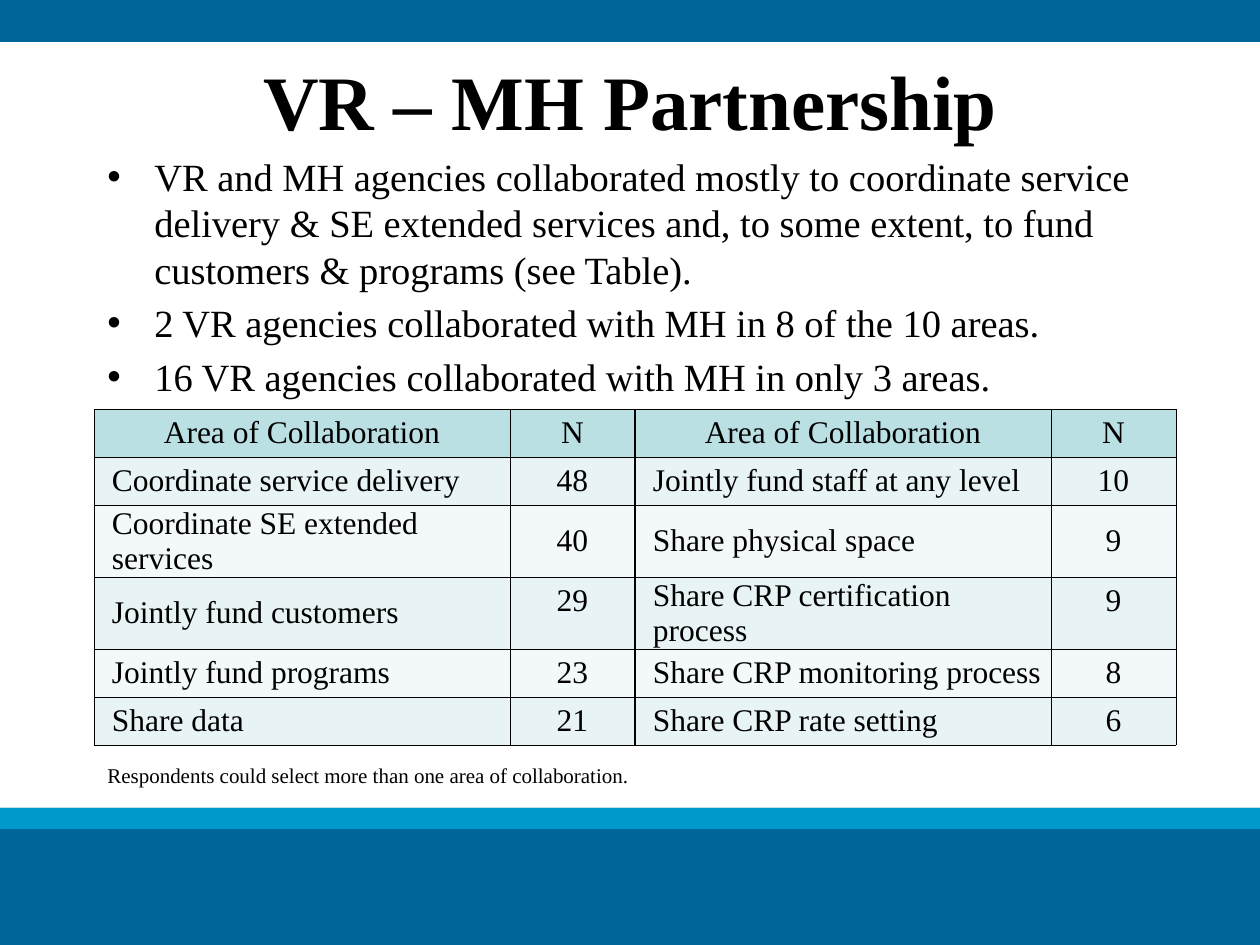
from lxml import etree
from pptx import Presentation
from pptx.dml.color import RGBColor
from pptx.enum.shapes import MSO_SHAPE
from pptx.enum.text import MSO_ANCHOR, PP_ALIGN
from pptx.oxml.ns import qn
from pptx.util import Emu, Pt

RECT = MSO_SHAPE.RECTANGLE
TOP, MIDDLE = MSO_ANCHOR.TOP, MSO_ANCHOR.MIDDLE
LEFT, CENTER = PP_ALIGN.LEFT, PP_ALIGN.CENTER

BLUE, SKY, BLACK = "006699", "0099CC", "000000"
HEAD, TINT, PALE = "BBE0E3", "E7F3F4", "F3F9FA"
THIN, THICK = 0.25, 1.5

POINTS = [
    "VR and MH agencies collaborated mostly to coordinate service delivery "
    "& SE extended services and, to some extent, to fund customers & "
    "programs (see Table).",
    "2 VR agencies collaborated with MH in 8 of the 10 areas.",
    "16 VR agencies collaborated with MH in only 3 areas.",
]
AREAS = [
    ("Area of Collaboration", "N", "Area of Collaboration", "N"),
    ("Coordinate service delivery", "48",
     "Jointly fund staff at any level", "10"),
    ("Coordinate SE extended\nservices", "40", "Share physical space", "9"),
    ("Jointly fund customers", "29", "Share CRP certification\nprocess", "9"),
    ("Jointly fund programs", "23", "Share CRP monitoring process", "8"),
    ("Share data", "21", "Share CRP rate setting", "6"),
]
COLS = [416, 125, 416, 125]
ROWS = [48, 48, 72, 71, 48, 48]
HIGH = {(3, 1), (3, 3), (4, 3), (5, 1), (5, 3)}  # counts set at the cell top


def px(n):
    return Emu(round(n * 914400 / 126))


def color(code):
    return RGBColor.from_string(code)


class Page:
    def __init__(self, slide, font):
        self.slide, self.font = slide, font

    def style(self, frame, size, align=LEFT, bold=False):
        for para in frame.paragraphs:
            para.alignment = align
            for run in para.runs:
                run.font.name = self.font
                run.font.size = Pt(size)
                run.font.bold = bold
                run.font.color.rgb = color(BLACK)

    def band(self, top, high, fill):
        shape = self.slide.shapes.add_shape(RECT, 0, px(top), px(1260), px(high))
        shape.shadow.inherit = False
        shape.fill.solid()
        shape.fill.fore_color.rgb = color(fill)
        shape.line.fill.background()

    def text(self, box, words, size, align=LEFT, anchor=TOP, bold=False):
        frame = self.slide.shapes.add_textbox(*map(px, box)).text_frame
        frame.word_wrap = True
        frame.vertical_anchor = anchor
        frame.text = words
        self.style(frame, size, align, bold)
        return frame

    def list(self, box, items, size):
        frame = self.text(box, "\n".join(items), size)
        for i, para in enumerate(frame.paragraphs):
            props = para._p.get_or_add_pPr()
            props.set("marL", str(px(47)))
            props.set("indent", str(-px(47)))
            if i:
                para.space_before = Pt(size * 0.2)
            etree.SubElement(props, qn("a:buFont"), typeface="Arial")
            etree.SubElement(props, qn("a:buChar"), char="•")

    def edge(self, side, width):
        line = etree.Element(qn("a:ln" + side), w=str(Pt(width)))
        fill = etree.SubElement(line, qn("a:solidFill"))
        etree.SubElement(fill, qn("a:srgbClr"), val=BLACK)
        return line

    def cell(self, cell, row, col, words):
        label, head = col % 2 == 0, row == 0
        frame = cell.text_frame
        frame.text = words
        self.style(frame, 18, LEFT if label and not head else CENTER)
        for para in frame.paragraphs:
            para.line_spacing = Pt(20)
        if not head and (row, col) not in HIGH:
            cell.vertical_anchor = MIDDLE
            cell.margin_left = px(18 if label else 1)
            cell.margin_right = cell.margin_top = cell.margin_bottom = px(1)
        cell.fill.solid()
        fill = HEAD if head else TINT if row % 2 else PALE
        cell.fill.fore_color.rgb = color(fill)
        wide = {("R", 1), ("L", 2)}  # the rule between the two halves
        props = cell._tc.get_or_add_tcPr()
        for i, side in enumerate("LRTB"):
            width = THICK if (side, col) in wide else THIN
            props.insert(i, self.edge(side, width))

    def table(self, left, top, cols, rows, data):
        frame = self.slide.shapes.add_table(
            len(rows), len(cols), px(left), px(top), px(sum(cols)), px(sum(rows)))
        grid = frame.table
        for col, wide in zip(grid.columns, cols):
            col.width = px(wide)
        for row, high in zip(grid.rows, rows):
            row.height = px(high)
        for r, line in enumerate(data):
            for c, words in enumerate(line):
                self.cell(grid.cell(r, c), r, c, words)


def main():
    deck = Presentation()
    deck.slide_width, deck.slide_height = px(1260), px(945)
    page = Page(deck.slides.add_slide(deck.slide_layouts[6]), "Times New Roman")
    page.band(808, 137, BLUE)
    page.band(808, 21, SKY)
    page.band(0, 42, BLUE)
    page.text((95, 21, 1071, 158), "VR – MH Partnership", 44, CENTER, MIDDLE, True)
    page.list((95, 147, 1071, 168), POINTS, 22)
    page.table(94, 409, COLS, ROWS, AREAS)
    page.text((95, 756, 966, 38),
              "Respondents could select more than one area of collaboration.", 12)
    deck.save("out.pptx")


if __name__ == "__main__":
    main()
